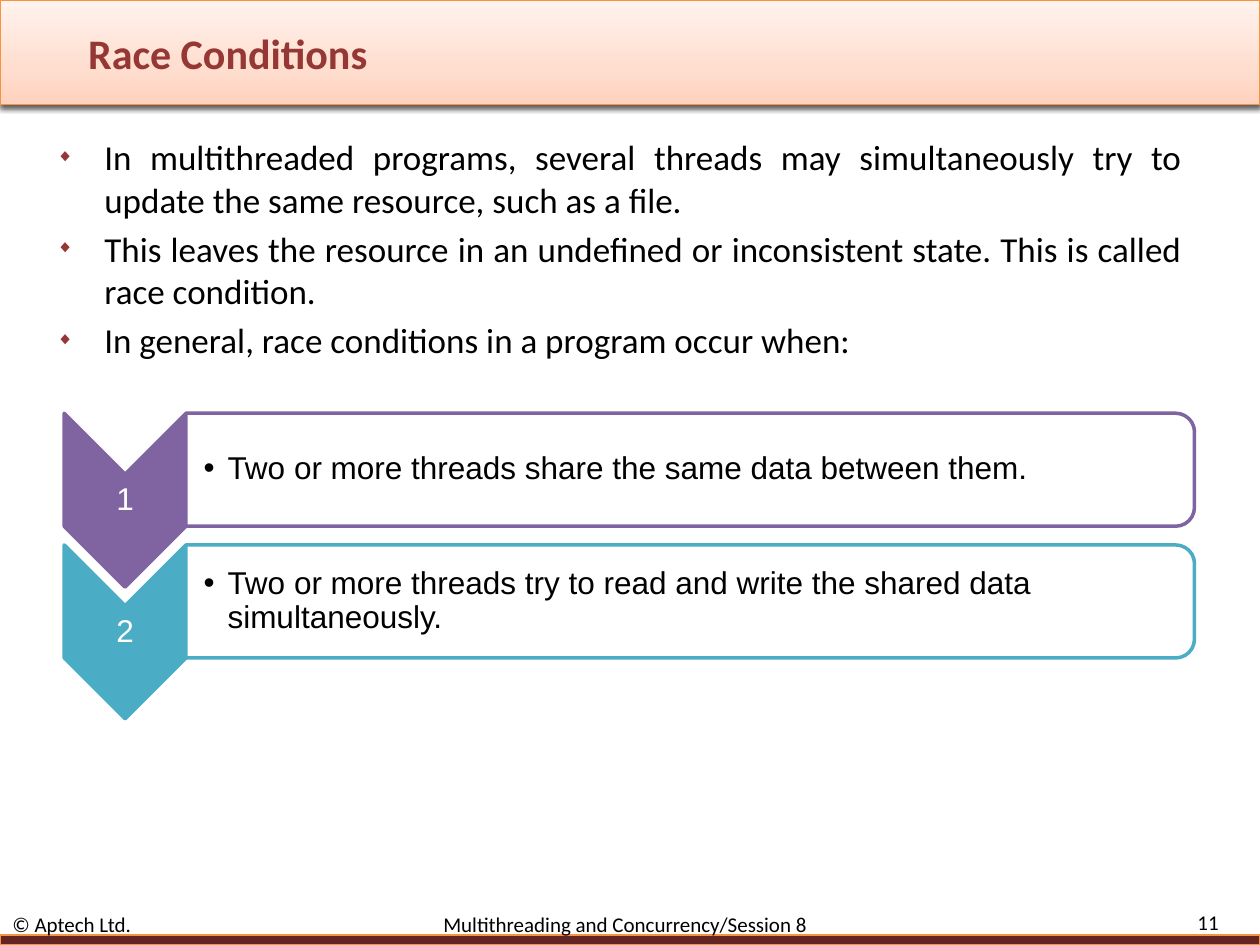
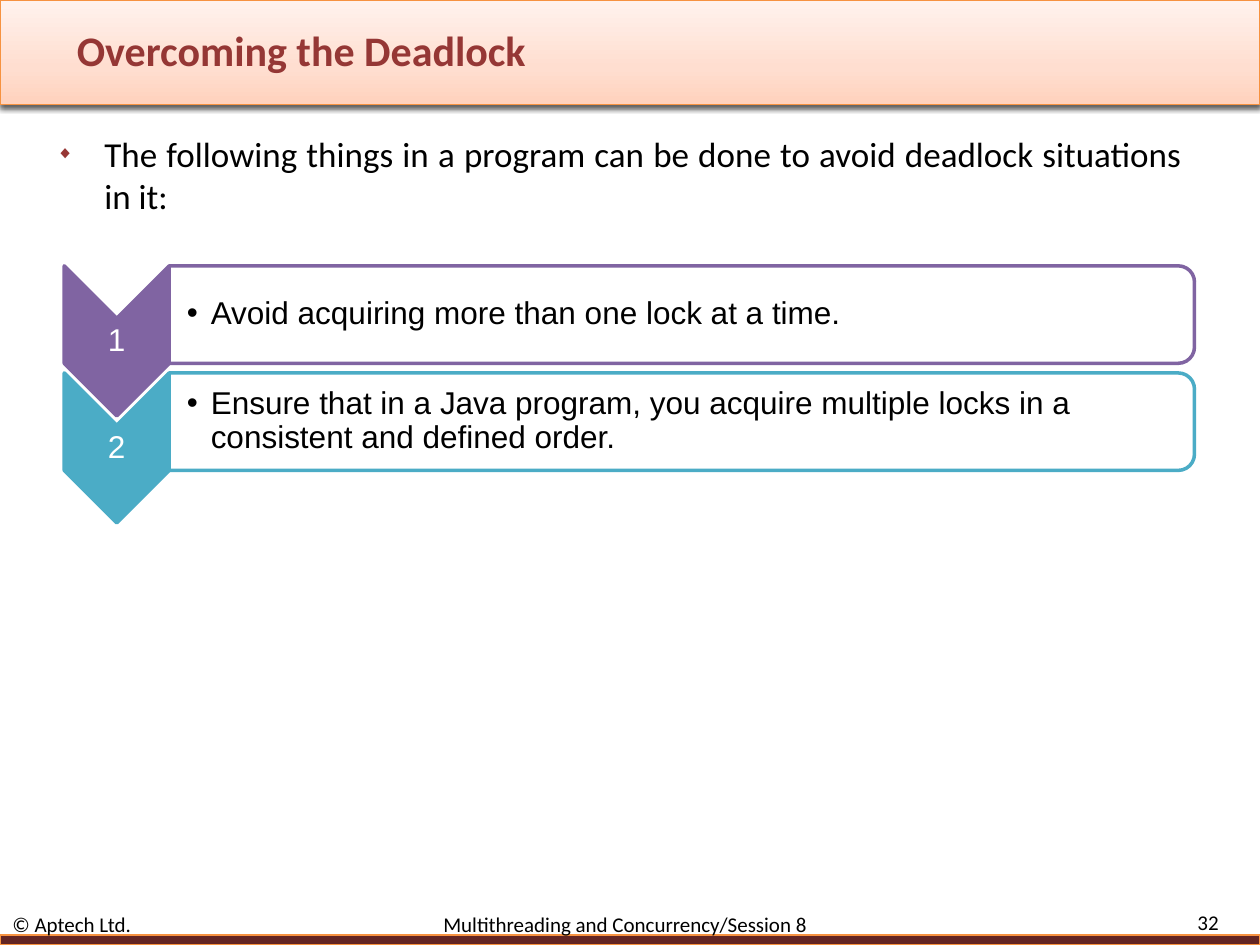
from pptx import Presentation
from pptx.dml.color import RGBColor
from pptx.enum.shapes import MSO_SHAPE
from pptx.enum.text import MSO_ANCHOR, MSO_AUTO_SIZE, PP_ALIGN
from pptx.oxml import parse_xml
from pptx.oxml.ns import nsdecls, qn
from pptx.util import Inches, Pt

RECTANGLE = MSO_SHAPE.RECTANGLE
CHEVRON = MSO_SHAPE.CHEVRON
ROUNDED_END = MSO_SHAPE.ROUND_2_SAME_RECTANGLE
TOP, MIDDLE = MSO_ANCHOR.TOP, MSO_ANCHOR.MIDDLE
LEFT, CENTER, RIGHT, JUSTIFY = PP_ALIGN.LEFT, PP_ALIGN.CENTER, PP_ALIGN.RIGHT, PP_ALIGN.JUSTIFY

BLACK = RGBColor(0x00, 0x00, 0x00)
WHITE = RGBColor(0xFF, 0xFF, 0xFF)
TITLE_RED = RGBColor(0x95, 0x37, 0x35)
BULLET_RED = RGBColor(0x97, 0x37, 0x35)
DARK_RED = RGBColor(0x63, 0x25, 0x23)
ORANGE = RGBColor(0xF6, 0x92, 0x40)
PURPLE = RGBColor(0x80, 0x64, 0xA2)
TEAL = RGBColor(0x4B, 0xAC, 0xC6)
STEP_COLORS = (PURPLE, TEAL)
BAND_STOPS = (
    (0, RGBColor(0xFF, 0xD2, 0xBD)),
    (35, RGBColor(0xFF, 0xDE, 0xD0)),
    (100, RGBColor(0xFF, 0xF2, 0xED)),
)

BODY_FONT, STEP_FONT = "Calibri", "Arial"
SLIDE_WIDTH, SLIDE_HEIGHT = Inches(10), Inches(7.5)
COLUMNS, ROWS = 100, 75
STEPS_LEFT, STEPS_RIGHT = 5.1, 94.8
CHEVRON_WIDTH_SHARE, BAR_HEIGHT_SHARE = 0.7, 0.65
COPYRIGHT = "© Aptech Ltd.\tMultithreading and Concurrency/Session 8"


def grid(left, top, width, height):
    column, row = SLIDE_WIDTH / COLUMNS, SLIDE_HEIGHT / ROWS
    return [round(value) for value in (left * column, top * row, width * column, height * row)]


def drawing(tag, attributes="", content=""):
    return parse_xml(f"<a:{tag} {nsdecls('a')} {attributes}>{content}</a:{tag}>")


def color_xml(color, content=""):
    return f'<a:srgbClr val="{color}">{content}</a:srgbClr>'


def format_text(para, font, size, color, align=LEFT):
    para.alignment = align
    for span in para.runs:
        span.font.name = font
        span.font.size = Pt(size)
        span.font.color.rgb = color


def add_bullet(para, symbol, indent, color=None, percent=100):
    properties = para._p.get_or_add_pPr()
    properties.set("marL", str(Inches(indent)))
    properties.set("indent", str(-Inches(indent)))
    if color is not None:
        properties.append(drawing("buClr", "", color_xml(color)))
    properties.append(drawing("buSzPct", f'val="{percent * 1000}"'))
    properties.append(drawing("buFont", 'typeface="Arial"'))
    properties.append(drawing("buChar", f'char="{symbol}"'))


def add_text(page, place, lines, anchor=MIDDLE):
    box = page.shapes.add_textbox(*grid(*place))
    frame = box.text_frame
    frame.word_wrap = True
    frame.vertical_anchor = anchor
    frame.text = "\n".join(lines)
    return frame


def add_shape(page, kind, place, fill, line, line_width):
    shape = page.shapes.add_shape(kind, *grid(*place))
    shape.shadow.inherit = False
    shape.fill.solid()
    shape.fill.fore_color.rgb = fill
    shape.line.color.rgb = line
    shape.line.width = Pt(line_width)
    return shape


def add_quarter_turned(page, kind, place, fill, line):
    left, top, width, height = place
    shift = (width - height) / 2
    shape = add_shape(page, kind, (left + shift, top - shift, height, width), fill, line, 2)
    shape.rotation = 90


def add_shared_bands(page):
    header = add_shape(page, RECTANGLE, (0, 0, COLUMNS, 8.3), WHITE, ORANGE, 0.75)
    header.fill.gradient()
    header.fill.gradient_angle = 90
    properties = header.element.spPr
    stops = properties.find(".//" + qn("a:gsLst"))
    stops.clear()
    for position, color in BAND_STOPS:
        stops.append(drawing("gs", f'pos="{position * 1000}"', color_xml(color)))
    properties.find(qn("a:effectLst")).append(drawing(
        "outerShdw",
        f'blurRad="{Pt(3.1)}" dist="{Pt(1.6)}" dir="5400000" rotWithShape="0"',
        color_xml(BLACK, '<a:alpha val="62000"/>'),
    ))
    footer = add_shape(page, RECTANGLE, (0, 74.2, COLUMNS, 0.8), DARK_RED, ORANGE, 0.75)
    layout_tree = page.slide_layout.shapes.element
    for index, band in enumerate((header, footer)):
        layout_tree.insert(2 + index, band.element)


def set_title(page, text, left, top):
    title = page.shapes.title
    title.left, title.top, title.width, title.height = grid(left, top, 80.7, 4.5)
    frame = title.text_frame
    frame.text = text
    frame.auto_size = MSO_AUTO_SIZE.NONE
    frame.vertical_anchor = MIDDLE
    format_text(frame.paragraphs[0], BODY_FONT, 24, TITLE_RED)
    for span in frame.paragraphs[0].runs:
        span.font.bold = True
        outline = f"<a:solidFill>{color_xml(DARK_RED)}</a:solidFill>"
        span.font._element.insert(0, drawing("ln", f'w="{Pt(0.75)}"', outline))


def add_footer(page, number):
    para = add_text(page, (0, 72.5, 88.3, 1.7), [COPYRIGHT]).paragraphs[0]
    tab = f'<a:tab pos="{Inches(3.42)}" algn="l"/>'
    para._p.get_or_add_pPr().append(drawing("tabLst", "", tab))
    format_text(para, BODY_FONT, 12, BLACK)
    para = add_text(page, (89.2, 72.3, 8.5, 1.8), [str(number)]).paragraphs[0]
    format_text(para, BODY_FONT, 12, BLACK, RIGHT)


def add_points(page, top, height, points):
    frame = add_text(page, (3.5, top, 91.3, height), points, TOP)
    for index, para in enumerate(frame.paragraphs):
        add_bullet(para, "◆", 0.38, BULLET_RED, 50)
        format_text(para, BODY_FONT, 20, BLACK, JUSTIFY)
        if index:
            para.space_before = Pt(4)


def set_margins(frame, left):
    frame.margin_left = Inches(left)
    frame.margin_top = frame.margin_right = frame.margin_bottom = Inches(0.01)


def add_step(page, top, height, number, text, color):
    width = height * CHEVRON_WIDTH_SHARE
    bar_height = height * BAR_HEIGHT_SHARE
    bar_left = STEPS_LEFT + width
    bar_place = (bar_left, top, STEPS_RIGHT - bar_left, bar_height)

    add_quarter_turned(page, CHEVRON, (STEPS_LEFT, top, width, height), color, color)
    frame = add_text(page, (STEPS_LEFT, top + width / 2, width, height - width), [str(number)])
    set_margins(frame, 0.01)
    label = frame.paragraphs[0]
    label.line_spacing = 0.9
    format_text(label, STEP_FONT, 18, WHITE, CENTER)

    add_quarter_turned(page, ROUNDED_END, bar_place, WHITE, color)
    frame = add_text(page, bar_place, [text])
    set_margins(frame, 0.14)
    para = frame.paragraphs[0]
    add_bullet(para, "•", 0.19)
    para.line_spacing = 0.9
    format_text(para, STEP_FONT, 18, BLACK)


def add_steps(page, top, height, pitch, texts):
    for index, (text, color) in enumerate(zip(texts, STEP_COLORS)):
        add_step(page, top + index * pitch, height, index + 1, text, color)


def add_page(deck, title, title_left, title_top, number):
    page = deck.slides.add_slide(deck.slide_layouts[5])
    set_title(page, title, title_left, title_top)
    add_footer(page, number)
    return page


def main():
    deck = Presentation()
    deck.slide_width, deck.slide_height = SLIDE_WIDTH, SLIDE_HEIGHT

    races = add_page(deck, "Race Conditions", 6, 1.9, 11)
    add_shared_bands(races)
    add_points(races, 10.3, 23.2, [
        "In multithreaded programs, several threads may simultaneously try to update "
        "the same resource, such as a file.",
        "This leaves the resource in an undefined or inconsistent state. "
        "This is called race condition.",
        "In general, race conditions in a program occur when:",
    ])
    add_steps(races, 32.8, 13.8, 10.45, [
        "Two or more threads share the same data between them.",
        "Two or more threads try to read and write the shared data simultaneously.",
    ])

    deadlock = add_page(deck, "Overcoming the Deadlock", 5.1, 1.7, 32)
    add_points(deadlock, 10, 57.5, [
        "The following things in a program can be done to avoid deadlock situations in it:",
    ])
    add_steps(deadlock, 21.1, 11.9, 8.5, [
        "Avoid acquiring more than one lock at a time.",
        "Ensure that in a Java program, you acquire multiple locks in a consistent "
        "and defined order.",
    ])

    deck.save("out.pptx")


if __name__ == "__main__":
    main()
